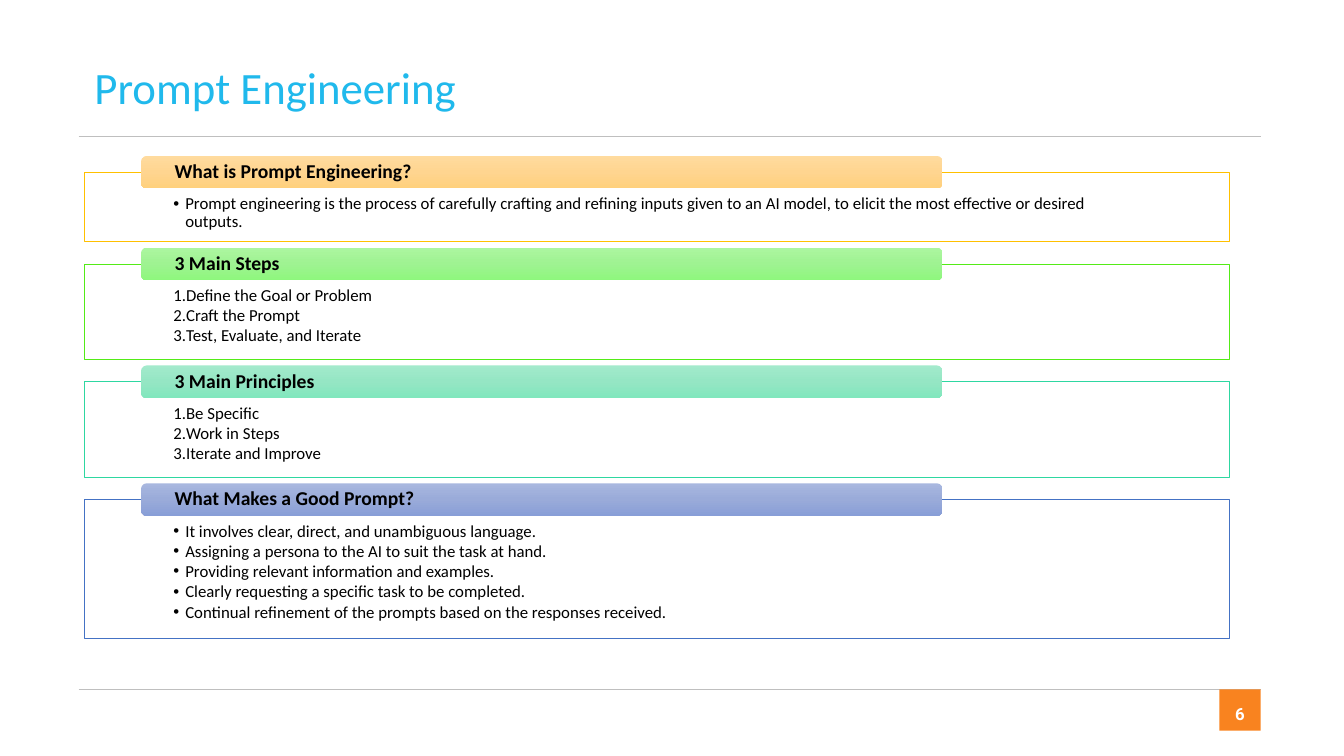
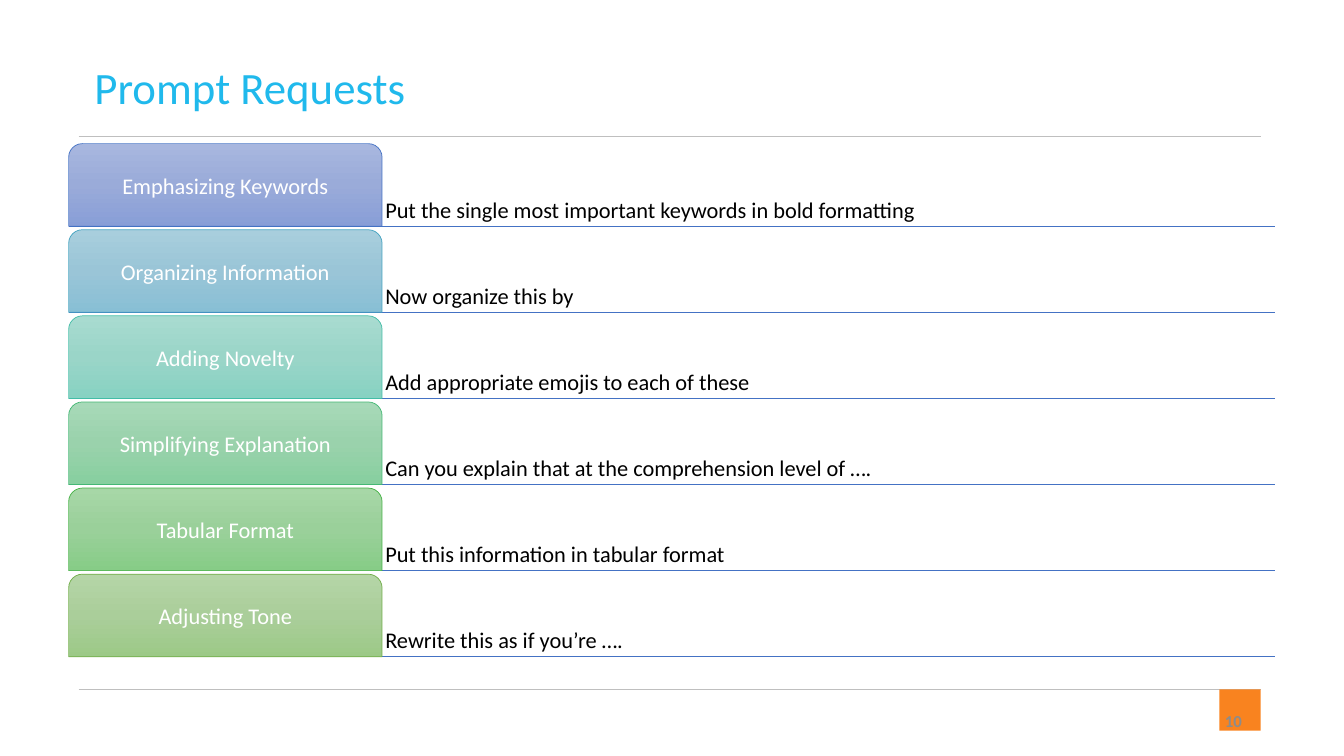
from copy import deepcopy
from dataclasses import dataclass

from lxml import etree
from pptx import Presentation
from pptx.dml.color import RGBColor
from pptx.enum.shapes import MSO_CONNECTOR, MSO_SHAPE
from pptx.enum.text import MSO_ANCHOR, MSO_AUTO_SIZE, PP_ALIGN
from pptx.oxml.ns import qn
from pptx.util import Cm, Pt

LEFT, CENTER, RIGHT = PP_ALIGN.LEFT, PP_ALIGN.CENTER, PP_ALIGN.RIGHT
TOP, MIDDLE, BOTTOM = MSO_ANCHOR.TOP, MSO_ANCHOR.MIDDLE, MSO_ANCHOR.BOTTOM
RECT, ROUND = MSO_SHAPE.RECTANGLE, MSO_SHAPE.ROUNDED_RECTANGLE
CARD = MSO_SHAPE.ROUND_2_SAME_RECTANGLE
STRAIGHT = MSO_CONNECTOR.STRAIGHT
NO_FIT = MSO_AUTO_SIZE.NONE

TITLE_ONLY, FOUR_BODIES = 5, 4
FONT = "Calibri"
SKY, ORANGE, RULE = "20B9EC", "F9831F", "BFBFBF"
BLUE, BLACK, WHITE, GRAY = "4472C4", "000000", "FFFFFF", "8C8C8C"


@dataclass(frozen=True)
class Box:
    """Left, top, width and height in centimetres."""
    x: float
    y: float
    w: float
    h: float

    def cm(self) -> tuple:
        return Cm(self.x), Cm(self.y), Cm(self.w), Cm(self.h)


@dataclass(frozen=True)
class Style:
    size: float
    color: str = BLACK
    bold: bool = False
    font: str = FONT
    align: int = LEFT
    anchor: int = MIDDLE
    pad: tuple = (0.25, 0.13, 0.25, 0.13)
    ratio: float = 1
    after: float = 0


@dataclass(frozen=True)
class Page:
    number: str
    box: Box
    style: Style


@dataclass(frozen=True)
class Panel:
    head: str
    items: tuple
    high: float
    line: str
    blend: tuple
    count: bool = False


@dataclass(frozen=True)
class Row:
    label: str
    prompt: str
    line: str
    blend: tuple


TITLE = Style(32, SKY)
TITLE_BOX = Box(2.13, 1.37, 30.4, 1.63)
HEAD = Style(14, bold=True, pad=(0.8, 0, 0.8, 0), ratio=0.9)
LIST = Style(12, anchor=TOP, pad=(2.24, 0.58, 2.24, 0.22), ratio=0.9, after=1.5)
SNUG = (0.08,) * 4
LABEL = Style(16, WHITE, align=CENTER, pad=SNUG, ratio=0.9)
PROMPT = Style(16, anchor=BOTTOM, pad=SNUG, ratio=0.9)

PAGES = (
    Page("6", Box(30.73, 17.53, 1.04, 0.89),
         Style(12, WHITE, True, "Roboto", CENTER, pad=(0, 0, 0, 0))),
    Page("10", Box(23.93, 17.65, 7.62, 1.02), Style(12, GRAY, True, align=RIGHT)),
)

PANELS = (
    Panel("What is Prompt Engineering?",
          ("Prompt engineering is the process of carefully crafting and refining "
           "inputs given to an AI model, to elicit the most effective or desired "
           "outputs.",),
          1.75, "FFC000", ("FFDB9E", "FFD590", "FFD07C")),
    Panel("3 Main Steps",
          ("Define the Goal or Problem", "Craft the Prompt",
           "Test, Evaluate, and Iterate"),
          2.41, "53EB17", ("ACF6A0", "9FF392", "8EF77D"), True),
    Panel("3 Main Principles",
          ("Be Specific", "Work in Steps", "Iterate and Improve"),
          2.41, "2ED7A1", ("A3EACC", "95E6C4", "81E7BD"), True),
    Panel("What Makes a Good Prompt?",
          ("It involves clear, direct, and unambiguous language.",
           "Assigning a persona to the AI to suit the task at hand.",
           "Providing relevant information and examples.",
           "Clearly requesting a specific task to be completed.",
           "Continual refinement of the prompts based on the responses received."),
          3.5, BLUE, ("A8B7DF", "9AABD9", "889ED7")),
)

ROWS = (
    Row("Emphasizing Keywords",
        "Put the single most important keywords in bold formatting",
        BLUE, ("A8B7DF", "9AABD9", "889ED7")),
    Row("Organizing Information", "Now organize this by",
        "44A3C0", ("A8CEDD", "9AC5D7", "88BFD5")),
    Row("Adding Novelty", "Add appropriate emojis to each of these",
        "43BDA7", ("A8DBD0", "9AD5C8", "87D2C2")),
    Row("Simplifying Explanation",
        "Can you explain that at the comprehension level of ….",
        "44B874", ("A7D9B8", "9AD2AC", "87CF9F")),
    Row("Tabular Format", "Put this information in tabular format",
        "46B246", ("A7D7A7", "9AD09A", "87CC87")),
    Row("Adjusting Tone", "Rewrite this as if you’re ….",
        "70AD47", ("B5D5A7", "AACE9A", "9CC987")),
)


def rgb(code: str) -> RGBColor:
    return RGBColor.from_string(code)


def place(shape, box: Box) -> None:
    shape.left, shape.top, shape.width, shape.height = box.cm()


def write(shape, text: str, style: Style) -> None:
    frame = shape.text_frame
    frame.text = text
    frame.word_wrap = True
    frame.auto_size = NO_FIT
    frame.vertical_anchor = style.anchor
    (frame.margin_left, frame.margin_top,
     frame.margin_right, frame.margin_bottom) = map(Cm, style.pad)
    for para in frame.paragraphs:
        para.alignment = style.align
        para.line_spacing = style.ratio
        para.space_before = Pt(0)
        para.space_after = Pt(style.after)
        for run in para.runs:
            font = run.font
            font.name, font.size, font.bold = style.font, Pt(style.size), style.bold
            font.color.rgb = rgb(style.color)


def mark(para, count: bool) -> None:
    """Give a paragraph a hanging number or bullet."""
    props = para._p.get_or_add_pPr()
    props.set("marL", str(Cm(0.3)))
    props.set("indent", str(-Cm(0.3)))
    face = etree.SubElement(props, qn("a:buFont"))
    face.set("typeface", FONT if count else "Arial")
    if count:
        etree.SubElement(props, qn("a:buAutoNum")).set("type", "arabicPeriod")
    else:
        etree.SubElement(props, qn("a:buChar")).set("char", "•")


def outline(shape, color: str) -> None:
    shape.line.color.rgb = rgb(color)
    shape.line.width = Pt(0.5)


def add_box(slide, kind: int, box: Box):
    shape = slide.shapes.add_shape(kind, *box.cm())
    shape.shadow.inherit = False
    shape.line.fill.background()
    return shape


def add_text(slide, box: Box, text: str, style: Style) -> None:
    write(slide.shapes.add_textbox(*box.cm()), text, style)


def add_rule(slide, x: float, y: float, end: float, color: str, width: float) -> None:
    rule = slide.shapes.add_connector(STRAIGHT, Cm(x), Cm(y), Cm(end), Cm(y))
    rule.line.color.rgb = rgb(color)
    rule.line.width = Pt(width)
    etree.SubElement(rule._element.spPr, qn("a:effectLst"))


def blend(shape, colors: tuple) -> None:
    """Fill from top to bottom through three evenly spaced colours."""
    fill = shape.fill
    fill.gradient()
    fill.gradient_angle = 270
    stops = shape._element.spPr.find(qn("a:gradFill")).find(qn("a:gsLst"))
    stops.insert(1, deepcopy(stops[0]))
    for i, (stop, color) in enumerate(zip(fill.gradient_stops, colors)):
        stop.position = i / 2
        stop.color.rgb = rgb(color)


def start(deck, layout: int, title: str, page: Page):
    """Add a slide with the shared title, rules and page number."""
    slide = deck.slides.add_slide(deck.slide_layouts[layout])
    for y in (3.43, 17.37):
        add_rule(slide, 1.98, y, 31.78, RULE, 0.5)
    badge = add_box(slide, RECT, Box(30.73, 17.37, 1.04, 1.04))
    badge.fill.solid()
    badge.fill.fore_color.rgb = rgb(ORANGE)
    place(slide.shapes.title, TITLE_BOX)
    write(slide.shapes.title, title, TITLE)
    add_text(slide, page.box, page.number, page.style)
    return slide


def add_panel(slide, body, panel: Panel, y: float) -> None:
    place(body, Box(2.13, y, 28.85, panel.high))
    body.fill.solid()
    body.fill.fore_color.rgb = rgb(WHITE)
    outline(body, panel.line)
    write(body, "\n".join(panel.items), LIST)
    for para in body.text_frame.paragraphs:
        mark(para, panel.count)
    tab = add_box(slide, ROUND, Box(3.56, y - 0.41, 20.19, 0.82))
    blend(tab, panel.blend)
    write(tab, panel.head, HEAD)


def add_row(slide, row: Row, y: float) -> None:
    high = 2.08
    add_rule(slide, 1.73, y + high, 32.13, BLUE, 1)
    add_text(slide, Box(9.63, y, 22.5, high), row.prompt, PROMPT)
    card = add_box(slide, CARD, Box(1.73, y, 7.9, high))
    blend(card, row.blend)
    outline(card, row.line)
    write(card, row.label, LABEL)


def main() -> None:
    deck = Presentation()
    deck.slide_width, deck.slide_height = Cm(33.87), Cm(19.05)

    slide = start(deck, FOUR_BODIES, "Prompt Engineering", PAGES[0])
    y = 4.34
    for i, panel in enumerate(PANELS, 1):
        add_panel(slide, slide.placeholders[i], panel, y)
        y += panel.high + 0.56

    slide = start(deck, TITLE_ONLY, "Prompt Requests", PAGES[1])
    for i, row in enumerate(ROWS):
        add_row(slide, row, 3.62 + 2.17 * i)

    deck.save("out.pptx")


if __name__ == "__main__":
    main()
